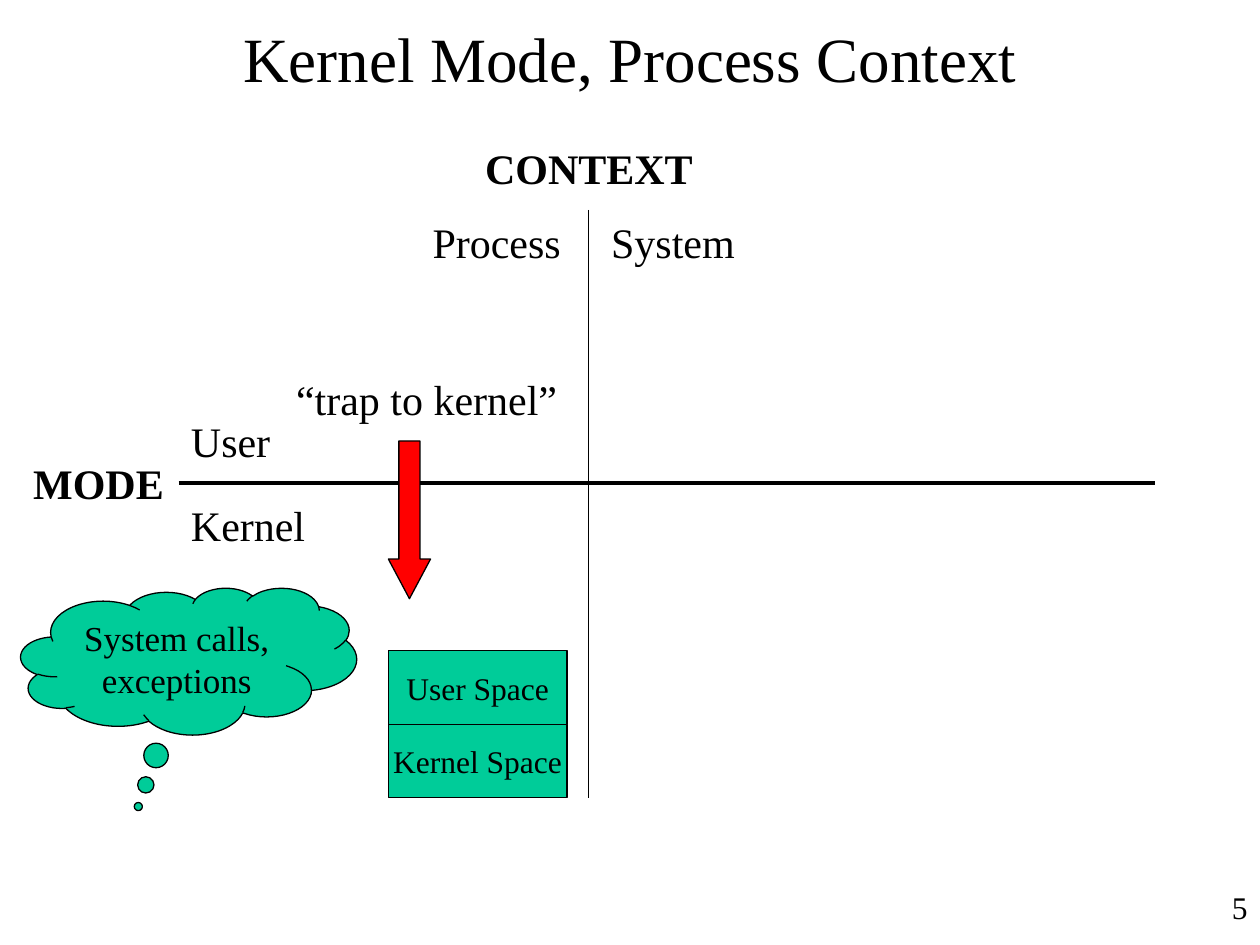
"""Build a slide on kernel mode in process context."""
from lxml import etree
from pptx import Presentation
from pptx.dml.color import RGBColor
from pptx.enum.shapes import MSO_CONNECTOR, MSO_SHAPE
from pptx.enum.text import MSO_ANCHOR, MSO_AUTO_SIZE, PP_ALIGN
from pptx.oxml.ns import qn
from pptx.util import Cm, Pt

BLACK = RGBColor(0x00, 0x00, 0x00)
GREEN = RGBColor(0x00, 0xCC, 0x99)
RED = RGBColor(0xFF, 0x00, 0x00)
FONT = "Times New Roman"
LEFT, CENTER, RIGHT = PP_ALIGN.LEFT, PP_ALIGN.CENTER, PP_ALIGN.RIGHT
TOP, MIDDLE = MSO_ANCHOR.TOP, MSO_ANCHOR.MIDDLE
FIXED, GROW = MSO_AUTO_SIZE.NONE, MSO_AUTO_SIZE.SHAPE_TO_FIT_TEXT
RECT, CLOUD, ARROW = MSO_SHAPE.RECTANGLE, MSO_SHAPE.CLOUD_CALLOUT, MSO_SHAPE.DOWN_ARROW
STRAIGHT = MSO_CONNECTOR.STRAIGHT

LABELS = [
    ("CONTEXT", 9.53, 2.75, 4.75, True),
    ("MODE", 0.42, 9.1, 3.2, True),
    ("User", 3.6, 8.26, 2.15, False),
    ("Kernel", 3.6, 9.95, 2.85, False),
    ("Process", 8.47, 4.24, 3.15, False),
    ("System", 12.07, 4.24, 3.05, False),
    ("“trap to kernel”", 5.72, 7.41, 5.8, False),
]
SPACES = ["User Space", "Kernel Space"]
SPACE_LEFT, SPACE_TOP, SPACE_WIDTH, SPACE_HEIGHT = 7.83, 13.12, 3.6, 1.48


def write(s, text, size, align=LEFT, anchor=TOP, wrap=True, bold=False, fit=FIXED):
    """Put one formatted paragraph into a shape."""
    tf = s.text_frame
    tf.auto_size = fit
    tf.word_wrap = wrap
    tf.vertical_anchor = anchor
    p = tf.paragraphs[0]
    p.alignment = align
    r = p.add_run()
    r.text = text
    for name, value in {"name": FONT, "size": Pt(size), "bold": bold}.items():
        setattr(r.font, name, value)
    r.font.color.rgb = BLACK


def add_text(slide, text, box, size, **style):
    """Add a text box with the given box in centimetres."""
    write(slide.shapes.add_textbox(*map(Cm, box)), text, size, **style)


def add_shape(slide, kind, box, fill, adjustments=()):
    """Add a filled, thinly outlined preset shape."""
    s = slide.shapes.add_shape(kind, *map(Cm, box))
    s.shadow.inherit = False
    s.fill.solid()
    s.fill.fore_color.rgb = fill
    s.line.color.rgb = BLACK
    s.line.width = Pt(0.75)
    for i, value in enumerate(adjustments):
        s.adjustments[i] = value
    return s


def add_axis(slide, ends, width):
    """Add a straight axis line."""
    line = slide.shapes.add_connector(STRAIGHT, *map(Cm, ends))
    line.line.color.rgb = BLACK
    line.line.width = Pt(width)
    etree.SubElement(line._element.spPr, qn("a:effectLst"))


def main():
    """Create and save the presentation."""
    prs = Presentation()
    prs.slide_width, prs.slide_height = Cm(25.4), Cm(19.05)
    slide = prs.slides.add_slide(prs.slide_layouts[6])

    add_text(slide, "Kernel Mode, Process Context", (0.85, 0, 23.7, 2.33), 36,
             align=CENTER, anchor=MIDDLE)
    add_axis(slide, (11.86, 4.23, 11.86, 16.09), 0.75)
    add_axis(slide, (3.6, 9.74, 23.28, 9.74), 2.25)
    for text, left, top, width, bold in LABELS:
        add_text(slide, text, (left, top, width, 1.27), 24,
                 wrap=False, bold=bold, fit=GROW)

    for i, text in enumerate(SPACES):
        box = (SPACE_LEFT, SPACE_TOP + i * SPACE_HEIGHT, SPACE_WIDTH, SPACE_HEIGHT)
        s = add_shape(slide, RECT, box, GREEN)
        write(s, text, 18, align=CENTER, anchor=MIDDLE, wrap=False)

    cloud = add_shape(slide, CLOUD, (0.42, 11.85, 6.77, 2.96), GREEN, (-0.15, 0.99))
    write(cloud, "System calls, exceptions", 20, align=CENTER)
    add_shape(slide, ARROW, (7.83, 8.89, 0.85, 3.18), RED, (0.5, 0.94))
    add_text(slide, "5", (20.11, 17.78, 5.29, 1.27), 18, align=RIGHT)
    prs.save("out.pptx")


if __name__ == "__main__":
    main()
